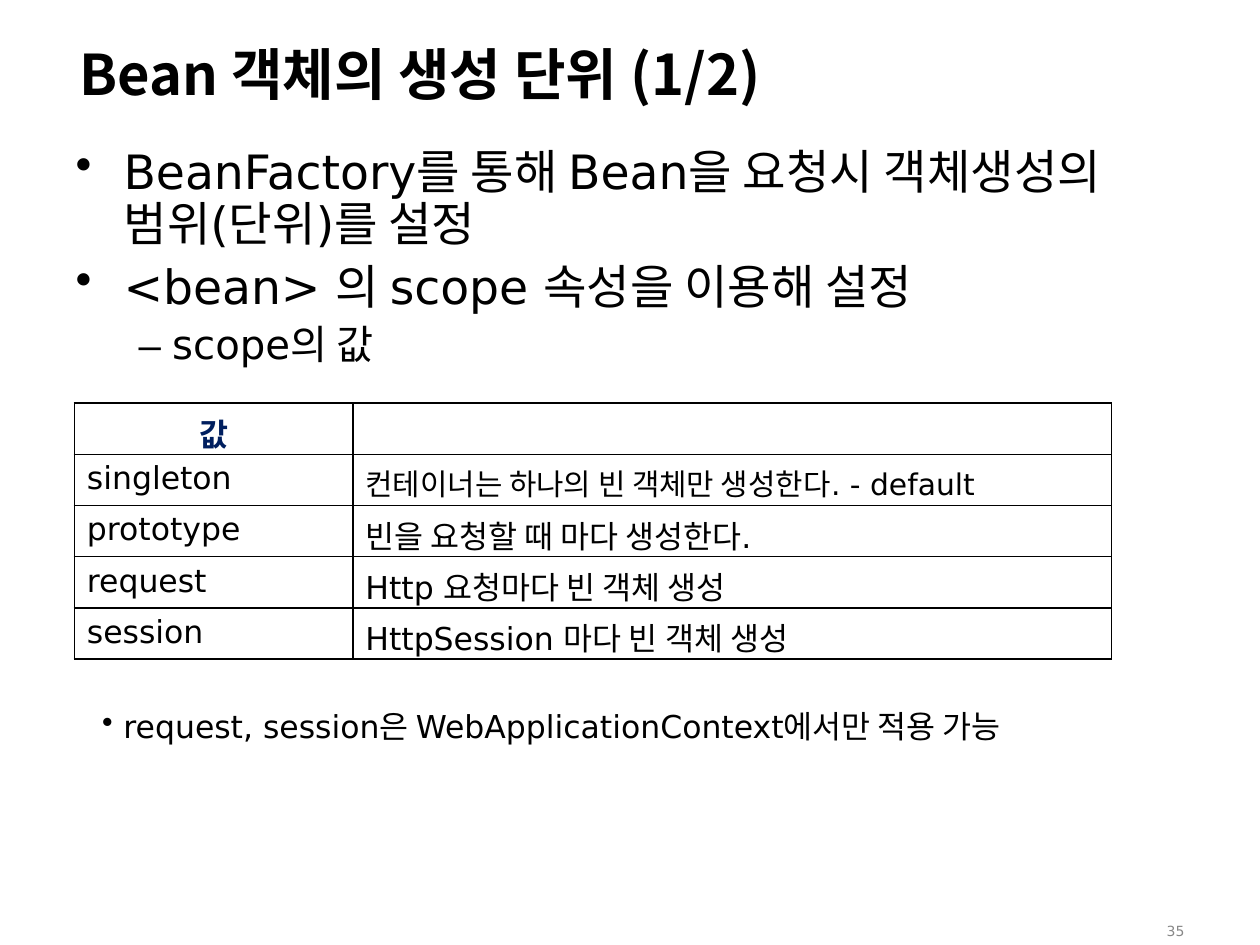
from dataclasses import dataclass

import lxml.etree
import pptx
import pptx.dml.color
import pptx.enum.text
import pptx.oxml.ns
import pptx.util

BLACK = pptx.dml.color.RGBColor(0x00, 0x00, 0x00)
NAVY = pptx.dml.color.RGBColor(0x00, 0x1F, 0x5F)
GREY = pptx.dml.color.RGBColor(0x88, 0x88, 0x88)
HANGUL, LATIN, DASH = "Noto Sans CJK KR", "DejaVu Sans", "Arial"
WIDE, HIGH = 10, 7.5

qn = pptx.oxml.ns.qn
Inches, Pt = pptx.util.Inches, pptx.util.Pt


@dataclass
class Para:
    """A paragraph; words holds its stretches of one script each."""
    words: tuple[str, ...]
    size: float
    before: float
    left: float = 0
    hang: float = 0
    bullet: str = ""
    line: float = 0
    color: pptx.dml.color.RGBColor = BLACK
    bold: bool = False
    center: bool = False


@dataclass
class Box:
    """A text box, placed in shares of the slide's size."""
    left: float
    top: float
    width: float
    height: float
    inset: float
    paras: tuple[Para, ...]


def pick_font(text: str, bold: bool) -> str:
    if bold or any("가" <= char <= "힣" for char in text):
        return HANGUL
    return DASH if text.startswith("–") else LATIN


def write(par, item: Para) -> None:
    par.space_before = Pt(item.before)
    par.font.size = Pt(item.size)
    par.font.bold = item.bold
    par.font.color.rgb = item.color
    if item.line:
        par.line_spacing = Pt(item.line)
    if item.center:
        par.alignment = pptx.enum.text.PP_ALIGN.CENTER
    props = par._p.get_or_add_pPr()
    props.set("marL", str(Inches(item.left)))
    props.set("indent", str(Inches(item.hang)))
    if item.bullet:
        mark = lxml.etree.Element(qn("a:buChar"), char=item.bullet)
        props.insert_element_before(mark, "a:tabLst", "a:defRPr", "a:extLst")
    for word in item.words:
        run = par.add_run()
        run.text = word
        face = pick_font(word, item.bold)
        run.font.name = face
        for tag in ("a:ea", "a:cs"):
            lxml.etree.SubElement(run._r.get_or_add_rPr(), qn(tag), typeface=face)


def add_box(slide, box: Box) -> None:
    shape = slide.shapes.add_textbox(
        Inches(box.left * WIDE), Inches(box.top * HIGH),
        Inches(box.width * WIDE), Inches(box.height * HIGH))
    frame = shape.text_frame
    frame.word_wrap = True
    frame.margin_left = frame.margin_right = frame.margin_bottom = 0
    frame.margin_top = Inches(box.inset)
    for i, item in enumerate(box.paras):
        write(frame.add_paragraph() if i else frame.paragraphs[0], item)


def rule_cell(cell) -> None:
    """Draw a thin black line on all four sides and leave the cell unfilled."""
    props = cell._tc.get_or_add_tcPr()
    for side in ("a:lnL", "a:lnR", "a:lnT", "a:lnB"):
        line = lxml.etree.SubElement(props, qn(side), w=str(Pt(1)))
        fill = lxml.etree.SubElement(line, qn("a:solidFill"))
        lxml.etree.SubElement(fill, qn("a:srgbClr"), val=str(BLACK))
    cell.fill.background()


def add_grid(slide, rows: tuple[tuple[Para, Para], ...]) -> None:
    widths, height = (2.21, 6.02), 2.03
    table = slide.shapes.add_table(
        len(rows), len(widths), Inches(0.59), Inches(3.2),
        Inches(sum(widths)), Inches(height)).table
    table.first_row = table.horz_banding = False
    for col, width in zip(table.columns, widths):
        col.width = Inches(width)
    for row, items in zip(table.rows, rows):
        row.height = Inches(height / len(rows))
        for cell, item in zip(row.cells, items):
            cell.margin_left = cell.margin_right = cell.margin_bottom = 0
            cell.margin_top = Inches(0.05)
            rule_cell(cell)
            write(cell.text_frame.paragraphs[0], item)


def scope_row(name: str, *words: str, size: float = 18) -> tuple[Para, Para]:
    return Para((name,), 18, 3.5, 0.1), Para(words, size, 3.7, 0.1)


TITLE = Box(0.063, 0.041, 0.65, 0.075, 0.01, (
    Para(("Bean ", "객체의 생성 단위 (1/2)"), 32, 1, bold=True),))

BODY = Box(0.059, 0.147, 0.869, 0.243, 0.06, (
    Para(("BeanFactory", "를 통해 ", "Bean", "을 요청시 객체생성의 범위", "(",
          "단위", ")", "를 설정"), 27, 4.1, 0.39, -0.38, "•", 29.9),
    Para(("<bean> ", "의 ", "scope ", "속성을 이용해 설정"),
         27, 3.5, 0.39, -0.38, "•"),
    Para(("– ", "scope", "의 값"), 23, 2.8, 0.51)))

NOTE = Box(0.079, 0.747, 0.76, 0.044, 0.01, (
    Para(("request, session", "은 ", "WebApplicationContext",
          "에서만 적용 가능"), 18, 1, 0.19, -0.17, "•"),))

PAGE = Box(0.92, 0.973, 0.026, 0.024, 0.02, (
    Para(("35",), 8, 1.6, 0.06, color=GREY),))

SCOPES = (
    (Para(("값",), 18, 3.6, color=NAVY, bold=True, center=True),
     Para((), 18, 0)),
    scope_row("singleton", "컨테이너는 하나의 빈 객체만 생성한다", ". - default",
              size=17),
    scope_row("prototype", "빈을 요청할 때 마다 생성한다", "."),
    scope_row("request", "Http ", "요청마다 빈 객체 생성"),
    scope_row("session", "HttpSession ", "마다 빈 객체 생성"),
)


def main() -> None:
    deck = pptx.Presentation()
    deck.slide_width, deck.slide_height = Inches(WIDE), Inches(HIGH)
    slide = deck.slides.add_slide(deck.slide_layouts[6])
    for box in (PAGE, TITLE, BODY):
        add_box(slide, box)
    add_grid(slide, SCOPES)
    add_box(slide, NOTE)
    deck.save("out.pptx")


if __name__ == "__main__":
    main()
